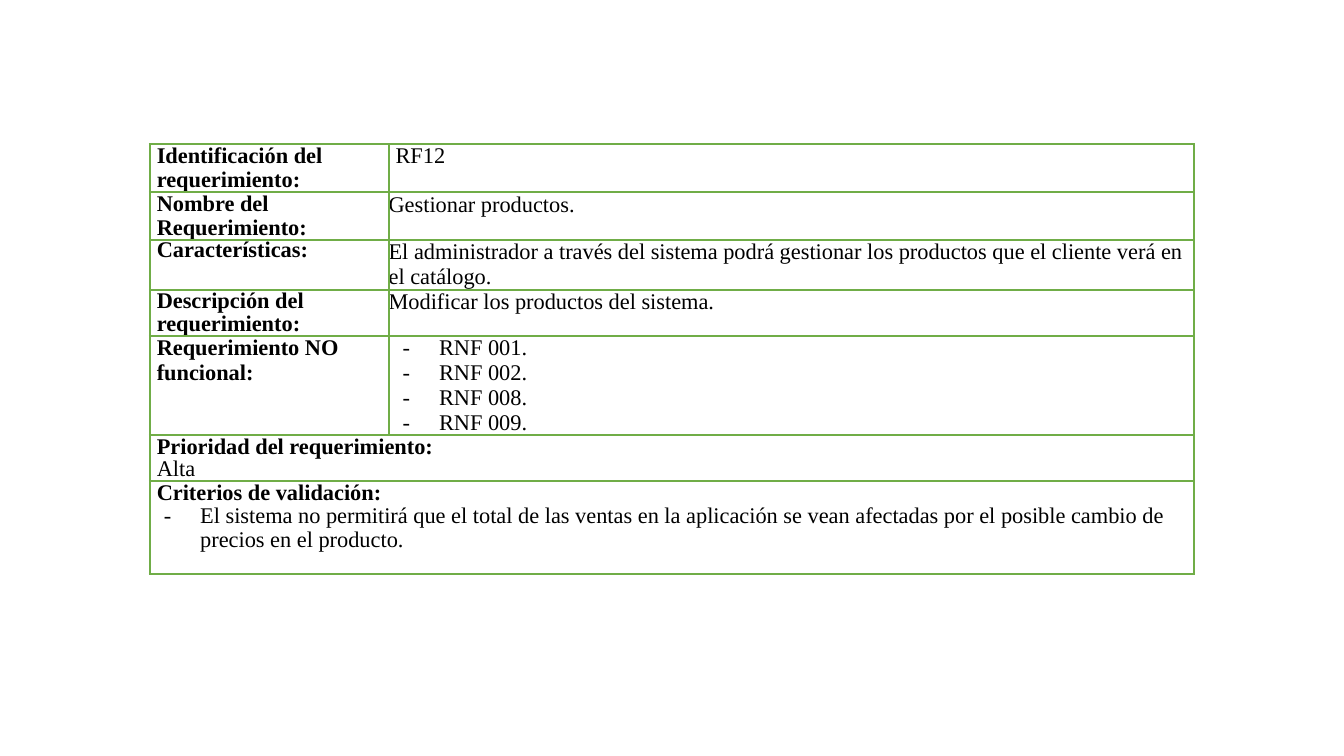
from dataclasses import dataclass

from lxml.etree import SubElement
from pptx import Presentation
from pptx.dml.color import RGBColor
from pptx.oxml.ns import qn
from pptx.util import Pt


@dataclass(frozen=True)
class Theme:
    font: str = "Times New Roman"
    size: float = 16
    ink: str = "000000"
    border: str = "70AD47"
    border_width: float = 1.5


THEME = Theme()
LABEL, VALUE, PLAIN, ITEM = "label", "value", "plain", "item"
INDENTS = {LABEL: (5, 0), VALUE: (5, 0), PLAIN: (0, 0), ITEM: (36, -26)}

# Each row: height, then its cells; each paragraph: role, line spacing, text.
REQUIREMENT_ROWS = [
    (33.6, [[(LABEL, 0.96, "Identificación del requerimiento:")],
            [(VALUE, 0.95, "RF12")]]),
    (33.6, [[(LABEL, 0.96, "Nombre del Requerimiento:")],
            [(PLAIN, 1, "Gestionar productos.")]]),
    (35.6, [[(LABEL, 0.88, "Características:")],
            [(PLAIN, 1, "El administrador a través del sistema podrá gestionar los "
                        "productos que el cliente verá en el catálogo.")]]),
    (32.9, [[(LABEL, 0.95, "Descripción del"), (LABEL, 0.89, "requerimiento:")],
            [(PLAIN, 1, "Modificar los productos del sistema.")]]),
    (70.7, [[(LABEL, 1, "Requerimiento NO funcional:")],
            [(ITEM, 1, f"RNF {code}.") for code in ("001", "002", "008", "009")]]),
    (32.9, [[(LABEL, 0.95, "Prioridad del requerimiento:"), (VALUE, 0.89, "Alta")]]),
    (66.4, [[(LABEL, 0.95, "Criterios de validación:"),
             (ITEM, 0.95, "El sistema no permitirá que el total de las ventas en la "
                          "aplicación se vean afectadas por el posible cambio de "
                          "precios en el producto.")]]),
]
COLUMN_WIDTHS = (170.6, 575.3)


def frame_cell(cell):
    """Give the cell four borders, no fill and no margins."""
    properties = cell._tc.get_or_add_tcPr()
    for side in ("a:lnL", "a:lnR", "a:lnT", "a:lnB"):
        line = SubElement(properties, qn(side), w=str(Pt(THEME.border_width)))
        SubElement(SubElement(line, qn("a:solidFill")), qn("a:srgbClr"), val=THEME.border)
    cell.fill.background()
    cell.margin_left = cell.margin_right = cell.margin_top = cell.margin_bottom = 0


def write_paragraph(paragraph, role, spacing, text):
    left, hanging = INDENTS[role]
    properties = paragraph._p.get_or_add_pPr()
    properties.set("marL", str(Pt(left)))
    properties.set("indent", str(Pt(hanging)))
    if role == ITEM:
        SubElement(SubElement(properties, qn("a:buClr")), qn("a:srgbClr"), val=THEME.ink)
        SubElement(properties, qn("a:buFont"), typeface=THEME.font)
        SubElement(properties, qn("a:buChar"), char="-")
    paragraph.line_spacing = float(spacing)
    run = paragraph.add_run()
    run.text = text
    run.font.name = THEME.font
    run.font.size = Pt(THEME.size)
    run.font.bold = role == LABEL
    run.font.color.rgb = RGBColor.from_string(THEME.ink)


presentation = Presentation()
presentation.slide_width = Pt(960)
presentation.slide_height = Pt(540)
slide = presentation.slides.add_slide(presentation.slide_layouts[6])

table_height = sum(height for height, _ in REQUIREMENT_ROWS)
requirement = slide.shapes.add_table(
    len(REQUIREMENT_ROWS), len(COLUMN_WIDTHS),
    Pt(107), Pt(103), Pt(sum(COLUMN_WIDTHS)), Pt(table_height)).table
requirement.first_row = False
requirement.horz_banding = False
for column, width in zip(requirement.columns, COLUMN_WIDTHS):
    column.width = Pt(width)

for row_index, (height, contents) in enumerate(REQUIREMENT_ROWS):
    row = requirement.rows[row_index]
    row.height = Pt(height)
    for cell in row.cells:
        frame_cell(cell)
    if len(contents) == 1:
        row.cells[0].merge(row.cells[1])
    for cell, paragraphs in zip(row.cells, contents):
        for index, (role, spacing, text) in enumerate(paragraphs):
            frame = cell.text_frame
            paragraph = frame.add_paragraph() if index else frame.paragraphs[0]
            write_paragraph(paragraph, role, spacing, text)

presentation.save("out.pptx")
